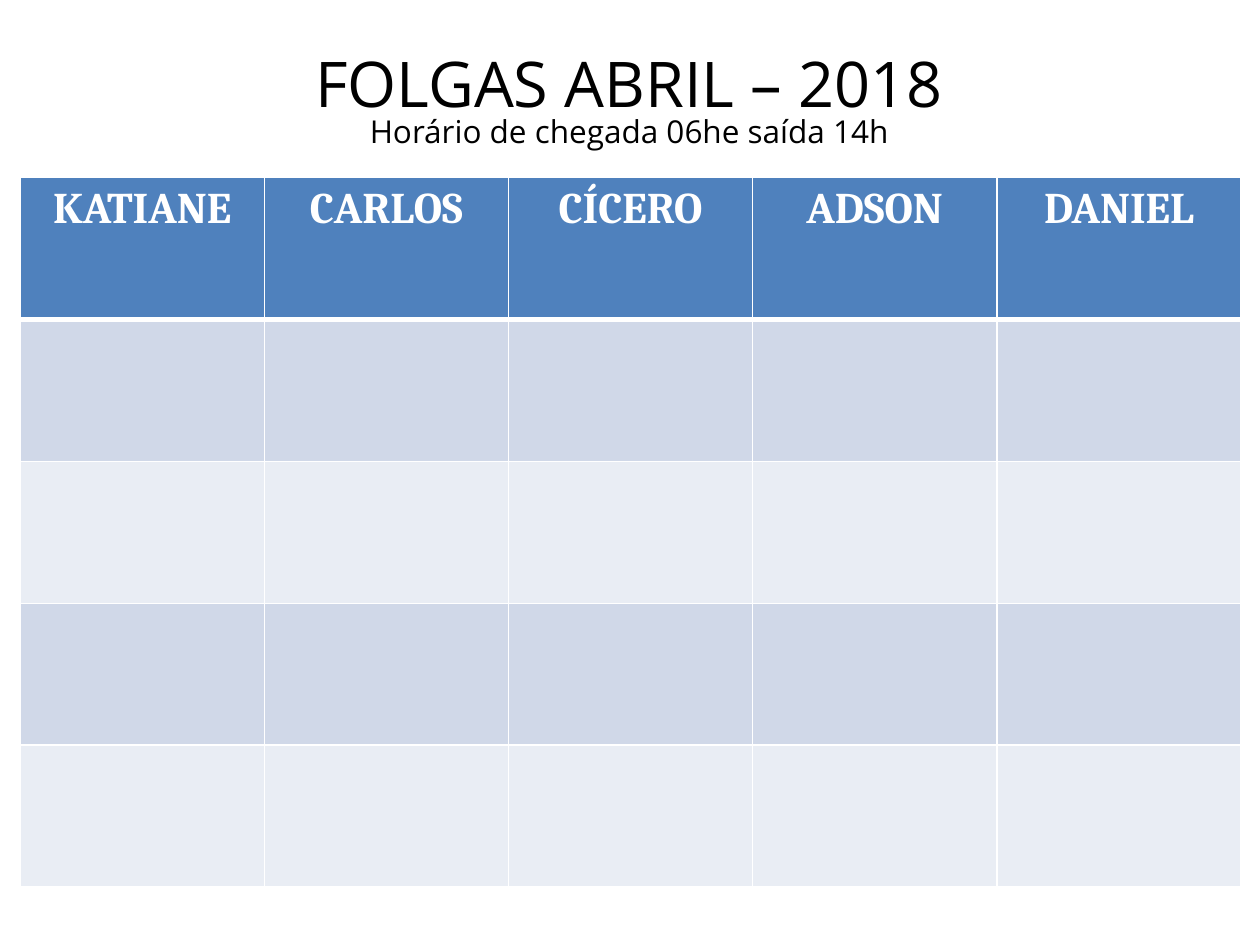
"""Builds the April days-off slide: a heading above an empty five-column table."""
import dataclasses

import pptx
import pptx.dml.color
import pptx.enum.text
import pptx.oxml
import pptx.oxml.ns
import pptx.util

Inches = pptx.util.Inches
CENTER = pptx.enum.text.PP_ALIGN.CENTER
WHITE = "FFFFFF"
HEADER_FILL = "4F81BD"
BAND_FILLS = ("D0D8E8", "E9EDF4")
NAMES = ("KATIANE", "CARLOS", "CÍCERO", "ADSON", "DANIEL")
ROW_COUNT = 5


@dataclasses.dataclass
class Line:
    """One centred line of text and its look."""
    text: str
    size: float
    font: str = "Open Sans"
    color: str = "000000"
    bold: bool = False


HEADING = (
    Line("FOLGAS ABRIL – 2018", 36),
    Line("Horário de chegada 06he saída 14h", 18),
)


def rgb(color: str) -> pptx.dml.color.RGBColor:
    """Turn a hex string into a colour."""
    return pptx.dml.color.RGBColor.from_string(color)


def write_line(para, line: Line) -> None:
    """Write a line into a paragraph and format it."""
    para.text = line.text
    para.alignment = CENTER
    for span in para.runs:
        span.font.size = pptx.util.Pt(line.size)
        span.font.name = line.font
        span.font.bold = line.bold
        span.font.color.rgb = rgb(line.color)


def style_cell(cell, fill: str, top: float, bottom: float) -> None:
    """Give a cell white borders, with widths in points, and a solid fill."""
    properties = cell._tc.get_or_add_tcPr()
    for side, width in (("L", 1), ("R", 1), ("T", top), ("B", bottom)):
        properties.append(pptx.oxml.parse_xml(
            f'<a:ln{side} {pptx.oxml.ns.nsdecls("a")} w="{pptx.util.Pt(width)}">'
            f'<a:solidFill><a:srgbClr val="{WHITE}"/></a:solidFill></a:ln{side}>'
        ))
    cell.fill.solid()
    cell.fill.fore_color.rgb = rgb(fill)


def add_heading(page) -> None:
    """Add the title and the working hours."""
    box = page.shapes.add_textbox(Inches(0.23), Inches(0.23), Inches(9.53), Inches(1.01))
    frame = box.text_frame
    frame.word_wrap = True
    frame.vertical_anchor = pptx.enum.text.MSO_ANCHOR.BOTTOM
    frame.text = "\n".join(line.text for line in HEADING)
    for para, line in zip(frame.paragraphs, HEADING):
        write_line(para, line)
        para.line_spacing = 0.8


def add_schedule(page) -> None:
    """Add the table with one column per person."""
    table = page.shapes.add_table(
        ROW_COUNT, len(NAMES), Inches(0.16), Inches(1.41), Inches(9.69), Inches(5.63)
    ).table
    for row_index, row in enumerate(table.rows):
        fill = BAND_FILLS[(row_index - 1) % 2] if row_index else HEADER_FILL
        for cell in row.cells:
            style_cell(cell, fill, 3 if row_index == 1 else 1, 1 if row_index else 3)
    for cell, name in zip(table.rows[0].cells, NAMES):
        write_line(cell.text_frame.paragraphs[0], Line(name, 25, "Cambria", WHITE, True))


def main() -> None:
    """Build and save the deck."""
    deck = pptx.Presentation()
    deck.slide_width, deck.slide_height = Inches(10), Inches(7.5)
    page = deck.slides.add_slide(deck.slide_layouts[6])
    add_heading(page)
    add_schedule(page)
    deck.save("out.pptx")


main()
